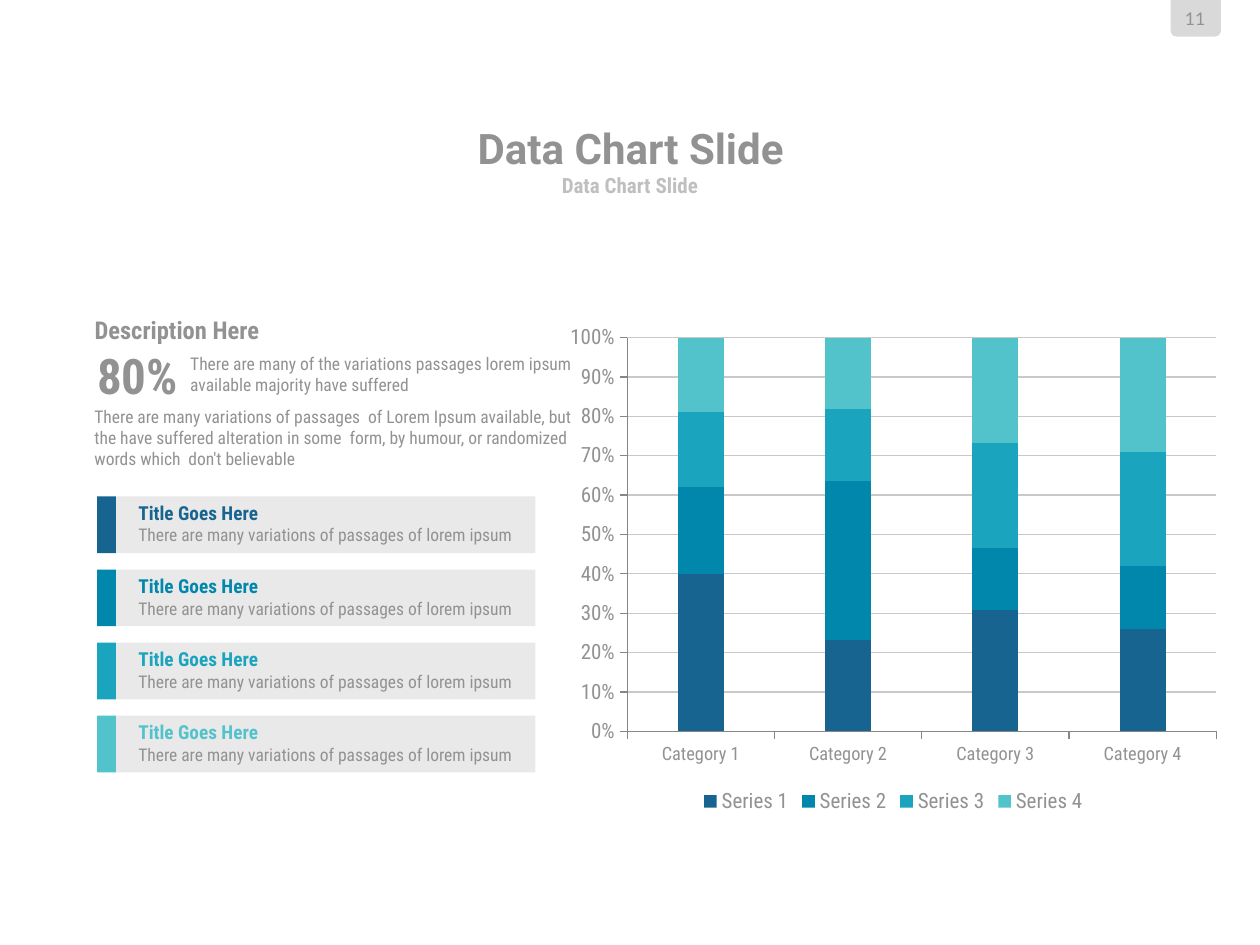
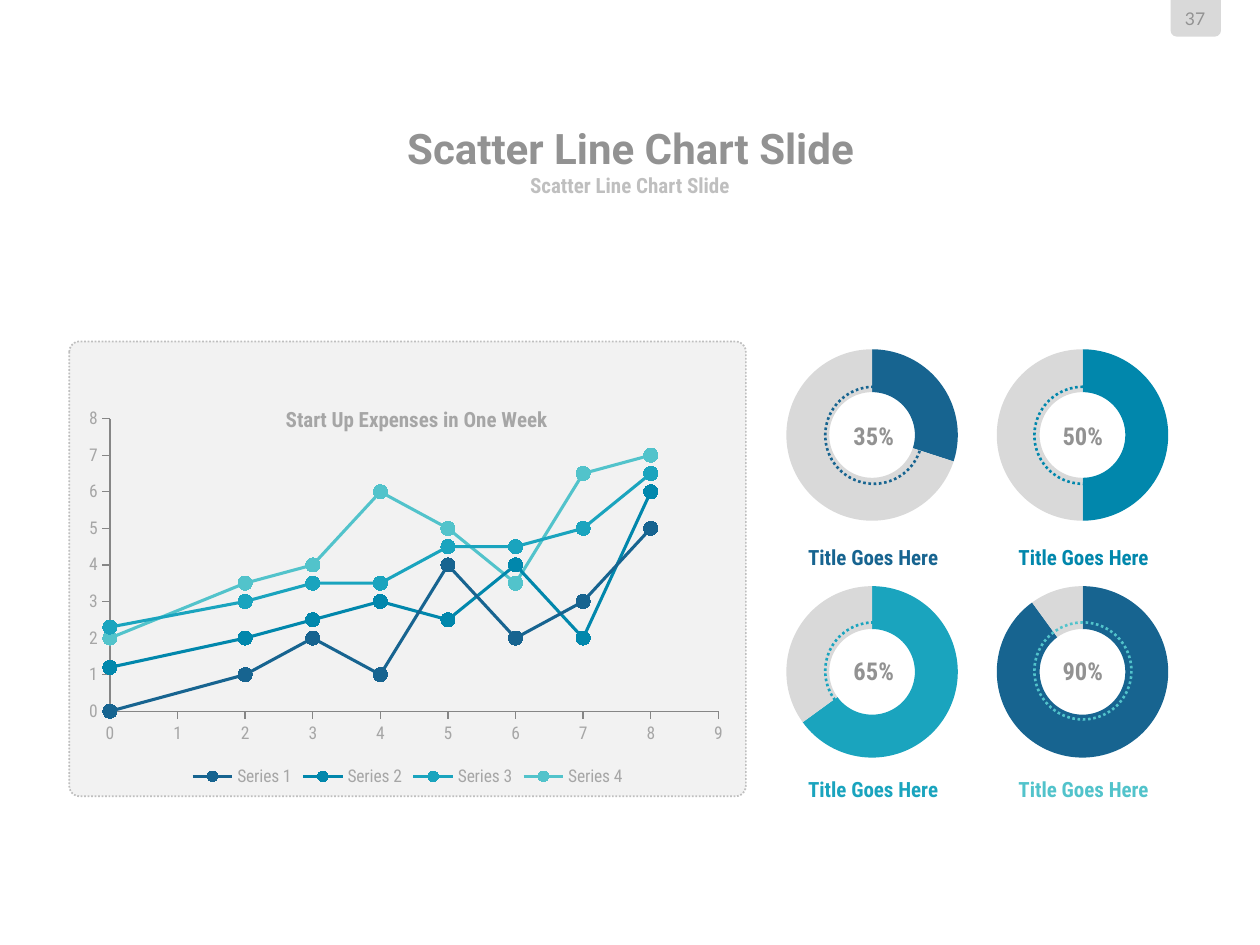
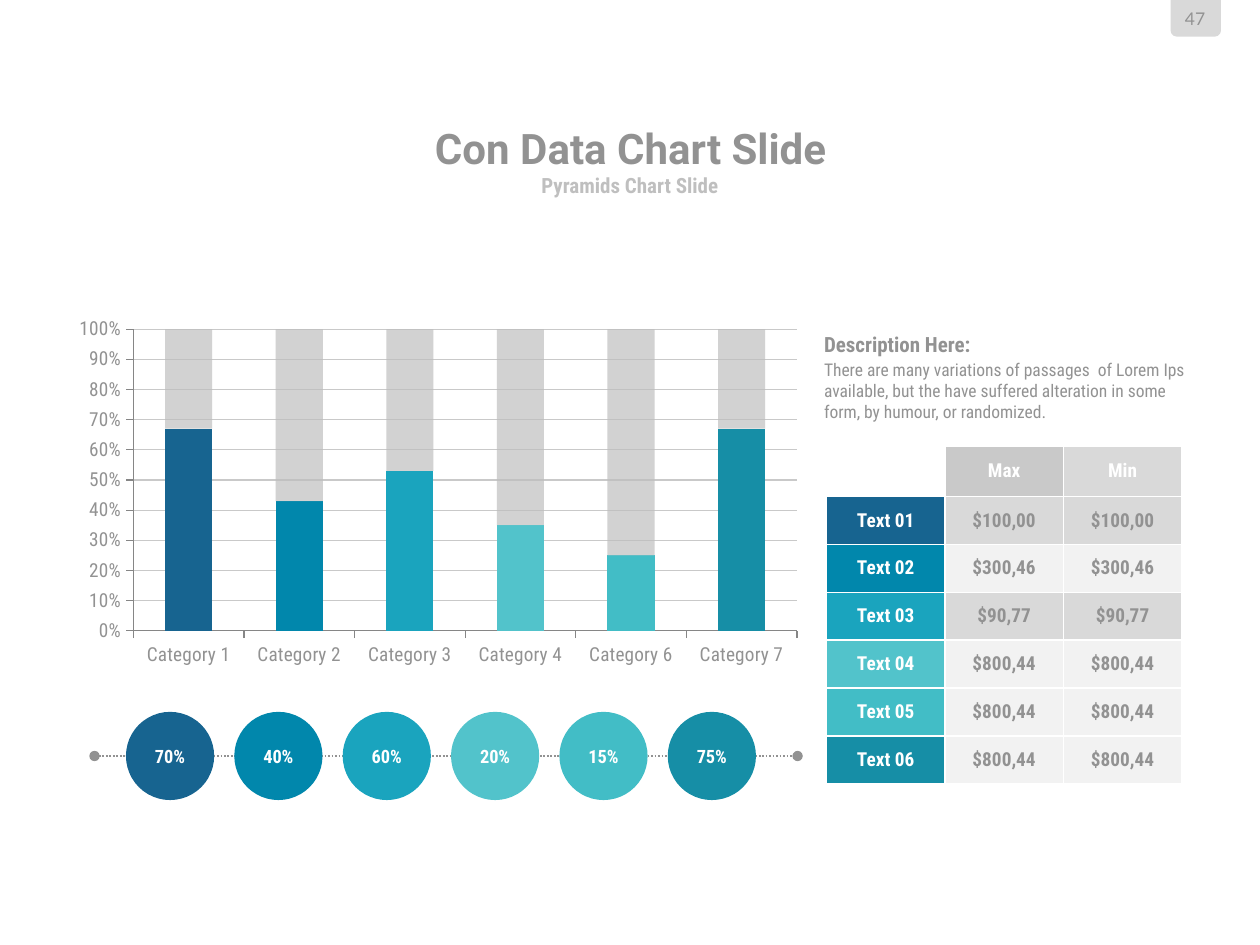
from lxml import etree
from pptx import Presentation
from pptx.chart.data import CategoryChartData, XyChartData
from pptx.dml.color import RGBColor
from pptx.enum.chart import XL_CHART_TYPE, XL_LEGEND_POSITION, XL_MARKER_STYLE, XL_TICK_MARK
from pptx.enum.dml import MSO_LINE
from pptx.enum.shapes import MSO_CONNECTOR, MSO_SHAPE
from pptx.enum.text import MSO_ANCHOR, PP_ALIGN
from pptx.oxml.ns import qn
from pptx.util import Inches, Pt

STACKED = XL_CHART_TYPE.COLUMN_STACKED_100
SCATTER = XL_CHART_TYPE.XY_SCATTER_SMOOTH
DOUGHNUT = XL_CHART_TYPE.DOUGHNUT
LEGEND_BOTTOM = XL_LEGEND_POSITION.BOTTOM
TICK_OUT = XL_TICK_MARK.OUTSIDE
ROUND_MARKER = XL_MARKER_STYLE.CIRCLE
DOTTED = MSO_LINE.ROUND_DOT
STRAIGHT = MSO_CONNECTOR.STRAIGHT
RECTANGLE = MSO_SHAPE.RECTANGLE
ROUNDED = MSO_SHAPE.ROUNDED_RECTANGLE
TAB = MSO_SHAPE.ROUND_2_SAME_RECTANGLE
CIRCLE = MSO_SHAPE.OVAL
TOP, MIDDLE = MSO_ANCHOR.TOP, MSO_ANCHOR.MIDDLE
LEFT, CENTER = PP_ALIGN.LEFT, PP_ALIGN.CENTER


class Theme:
    body_font, title_font, number_font = "Roboto Condensed", "Roboto", "Lato"
    accents = [RGBColor.from_string(code) for code in
               ("176490", "0187AC", "1AA4BE", "52C3CB", "42BDC6", "168EA6")]
    text = RGBColor(0x92, 0x92, 0x92)
    subtitle = RGBColor(0xBF, 0xBF, 0xBF)
    chart_text = RGBColor(0xA6, 0xA6, 0xA6)
    axis = RGBColor(0x86, 0x86, 0x86)
    grid = RGBColor(0xC9, 0xC9, 0xC9)
    gray = RGBColor(0xD9, 0xD9, 0xD9)
    card = RGBColor(0xE9, 0xE9, 0xE9)
    panel = RGBColor(0xF2, 0xF2, 0xF2)
    white = RGBColor(0xFF, 0xFF, 0xFF)
    title_size, figure_size, heading_size, subtitle_size = 24, 28, 14, 12
    label_size, badge_size, body_size = 11, 10.5, 10


def write(frame, text, size=Theme.body_size, color=Theme.text, bold=False,
          align=LEFT, font=Theme.body_font):
    """Fill the first paragraph of a frame, or add one below."""
    paragraph = frame.add_paragraph() if frame.text else frame.paragraphs[0]
    paragraph.alignment = align
    run = paragraph.add_run()
    run.text = text
    run.font.size, run.font.bold, run.font.name = Pt(size), bold, font
    run.font.color.rgb = color


def add_block(slide, at, kind=None, fill=None, line=None, width=1,
              anchor=TOP, inset=(0, 0), wrap=True):
    """Add a preset shape, or a text box when no kind is given."""
    box = [Inches(value) for value in at]
    if kind is None:
        block = slide.shapes.add_textbox(*box)
    else:
        block = slide.shapes.add_shape(kind, *box)
        block.shadow.inherit = False
        if fill is None:
            block.fill.background()
        else:
            block.fill.solid()
            block.fill.fore_color.rgb = fill
        if line is None:
            block.line.fill.background()
        else:
            block.line.color.rgb = line
            block.line.width = Pt(width)
            block.line.dash_style = DOTTED
    frame = block.text_frame
    frame.word_wrap, frame.vertical_anchor = wrap, anchor
    frame.margin_left = frame.margin_right = Inches(inset[0])
    frame.margin_top = frame.margin_bottom = Inches(inset[1])
    return block


deck = Presentation()
deck.slide_width, deck.slide_height = Inches(10), Inches(7.5)

# Page tab, title and subtitle of every slide
slides = []
for number, title, subtitle in (
        ("11", "Data Chart Slide", "Data Chart Slide"),
        ("37", "Scatter Line Chart Slide", "Scatter Line Chart Slide"),
        ("47", "Con Data Chart Slide", "Pyramids Chart Slide")):
    slide = deck.slides.add_slide(deck.slide_layouts[6])
    slides.append(slide)
    add_block(slide, (9.29, 0, 0.4, 0.29), TAB, Theme.gray).rotation = 180
    for at, text, size, color, bold, font in (
            ((9.32, 0.06, 0.33, 0.17), number, Theme.body_size, Theme.text, False, Theme.number_font),
            ((1.92, 0.98, 6.17, 0.39), title, Theme.title_size, Theme.text, True, Theme.title_font),
            ((2.75, 1.36, 4.5, 0.22), subtitle, Theme.subtitle_size, Theme.subtitle, True, Theme.body_font)):
        header = add_block(slide, at, anchor=MIDDLE, wrap=False)
        write(header.text_frame, text, size, color, bold, CENTER, font)
data_slide, scatter_slide, table_slide = slides

# Descriptions on the first and last slides
for slide, at, text, size, bold in (
        (data_slide, (0.75, 2.5, 1.69, 0.24), "Description Here", Theme.heading_size, True),
        (data_slide, (0.77, 2.74, 0.65, 0.47), "80%", Theme.figure_size, True),
        (data_slide, (1.51, 2.8, 3.29, 0.34),
         "There are many of the variations passages lorem ipsum available majority have suffered",
         Theme.body_size, False),
        (data_slide, (0.75, 3.22, 3.83, 0.5),
         "There are many variations of passages  of Lorem Ipsum available, but the have suffered "
         "alteration in some  form, by humour, or randomized words which  don't believable",
         Theme.body_size, False),
        (table_slide, (6.54, 2.63, 1.58, 0.2), "Description Here:", Theme.subtitle_size, True),
        (table_slide, (6.54, 2.85, 3.05, 0.5),
         "There are many variations of passages  of Lorem Ips available, but the have suffered "
         "alteration in some  form, by humour, or randomized.", Theme.body_size, False)):
    write(add_block(slide, at).text_frame, text, size, bold=bold)

# Title cards under the first description
for row, accent in enumerate(Theme.accents[:4]):
    top = 3.94 + 0.58 * row
    add_block(data_slide, (0.92, top, 3.33, 0.45), RECTANGLE, Theme.card)
    add_block(data_slide, (0.77, top, 0.15, 0.45), RECTANGLE, accent)
    card = add_block(data_slide, (1, top - 0.01, 3.27, 0.47), inset=(0.1, 0.05)).text_frame
    write(card, "Title Goes Here", Theme.label_size, accent, True)
    write(card, "There are many variations of passages of lorem ipsum")

# Stacked column charts on the first and last slides
layouts = []
stacked_charts = []
for slide, at, categories, values, gap, category_size, value_size in (
        (data_slide, (4.42, 2.5, 5.34, 4), (1, 2, 3, 4),
         ((40, 23, 31, 26), (22, 40, 16, 16), (19, 18, 27, 29), (19, 18, 27, 29)),
         222, Theme.badge_size, Theme.subtitle_size),
        (table_slide, (0.5, 2.33, 5.83, 3.15), (1, 2, 3, 4, 6, 7),
         ((67, 43, 53, 35, 25, 67), (33, 57, 47, 65, 75, 33)),
         135, Theme.label_size, Theme.label_size)):
    data = CategoryChartData()
    data.categories = [f"Category {index}" for index in categories]
    for index, amounts in enumerate(values, 1):
        data.add_series(f"Series {index}", amounts)
    chart = slide.shapes.add_chart(STACKED, *[Inches(value) for value in at], data).chart
    stacked_charts.append(chart)
    chart.has_title = chart.has_legend = False
    chart.font.name, chart.font.color.rgb = Theme.body_font, Theme.text
    plot = chart.plots[0]
    plot.gap_width, plot.overlap, plot.vary_by_categories = gap, 100, False
    for series, accent in zip(plot.series, Theme.accents):
        series.format.fill.solid()
        series.format.fill.fore_color.rgb = accent
    for axis, size in ((chart.category_axis, category_size), (chart.value_axis, value_size)):
        axis.major_tick_mark = TICK_OUT
        axis.format.line.color.rgb = Theme.axis
        axis.tick_labels.font.size = Pt(size)
    gridline = chart.value_axis.major_gridlines.format.line
    gridline.color.rgb, gridline.width = Theme.grid, Pt(0.75)
    labels = chart.value_axis.tick_labels
    labels.number_format, labels.number_format_is_linked = "0%", False
series_chart, share_chart = stacked_charts

series_chart.has_legend = True
series_chart.legend.position = LEGEND_BOTTOM
series_chart.legend.include_in_layout = False
series_chart.legend.font.size = Pt(Theme.subtitle_size)

shares, remainders = share_chart.plots[0].series
for index, accent in enumerate(Theme.accents):
    column = shares.points[index].format.fill
    column.solid()
    column.fore_color.rgb = accent
remainders.format.fill.fore_color.rgb = Theme.subtitle
remainder_color = next(remainders._element.iter(qn("a:srgbClr")))
etree.SubElement(remainder_color, qn("a:alpha"), val="70000")
layouts.append((share_chart._chartSpace.find(".//" + qn("c:plotArea")),
                {"x": 0.096, "y": 0.09, "w": 0.904, "h": 0.76}))

# Expenses chart on its dotted panel
panel = add_block(scatter_slide, (0.55, 2.71, 5.37, 3.61), ROUNDED, Theme.panel, Theme.subtitle)
panel.adjustments[0] = 0.023
days = (0, 2, 3, 4, 5, 6, 7, 8)
expenses = XyChartData()
for index, amounts in enumerate((
        (0, 1, 2, 1, 4, 2, 3, 5),
        (1.2, 2, 2.5, 3, 2.5, 4, 2, 6),
        (2.3, 3, 3.5, 3.5, 4.5, 4.5, 5, 6.5),
        (2, 3.5, 4, 6, 5, 3.5, 6.5, 7)), 1):
    series = expenses.add_series(f"Series {index}")
    for day, amount in zip(days, amounts):
        series.add_data_point(day, amount)
chart = scatter_slide.shapes.add_chart(
    SCATTER, Inches(0.61), Inches(2.76), Inches(5.25), Inches(3.52), expenses).chart
chart.font.name, chart.font.size = Theme.body_font, Pt(Theme.body_size)
chart.font.color.rgb = Theme.chart_text
chart.has_title = chart.has_legend = True
write(chart.chart_title.text_frame, "Start Up Expenses in One Week",
      Theme.subtitle_size, Theme.chart_text, True, CENTER)
chart.legend.position = LEGEND_BOTTOM
chart.legend.include_in_layout = False
chart.plots[0].vary_by_categories = False
for axis, maximum in ((chart.category_axis, 9), (chart.value_axis, 8)):
    axis.minimum_scale, axis.maximum_scale, axis.major_unit = 0, maximum, 1
    axis.has_major_gridlines = False
    axis.major_tick_mark = TICK_OUT
    axis.format.line.color.rgb = Theme.axis
    axis.tick_labels.number_format = "General"
    axis.tick_labels.number_format_is_linked = False
for series, accent in zip(chart.plots[0].series, Theme.accents):
    series.format.line.color.rgb, series.format.line.width = accent, Pt(1.75)
    series.marker.style, series.marker.size = ROUND_MARKER, 8
    series.marker.format.fill.solid()
    series.marker.format.fill.fore_color.rgb = accent
    series.marker.format.line.color.rgb = accent
layouts.append((chart._chartSpace.find(".//" + qn("c:plotArea")),
                {"x": 0.05, "y": 0.16, "w": 0.92, "h": 0.66}))
layouts.append((chart.chart_title._element, {"x": 0.31, "y": 0.12}))

# Doughnuts with dotted rings, two by two
for index, (share, percent, slice_color) in enumerate((
        (30, "35%", Theme.accents[0]), (50, "50%", Theme.accents[1]),
        (65, "65%", Theme.accents[2]), (90, "90%", Theme.accents[0]))):
    row, column = divmod(index, 2)
    left, accent = 6.11 + 1.67 * column, Theme.accents[index]
    data = CategoryChartData()
    data.categories = ["1", "2"]
    data.add_series("Series 1", (share, 100 - share))
    chart = scatter_slide.shapes.add_chart(
        DOUGHNUT, Inches(left), Inches(2.58 + 1.88 * row), Inches(1.64), Inches(1.73), data).chart
    chart.has_title = chart.has_legend = False
    chart.font.name = Theme.body_font
    for point, color in enumerate((slice_color, Theme.gray)):
        sector = chart.plots[0].series[0].points[point].format.fill
        sector.solid()
        sector.fore_color.rgb = color
    next(chart._chartSpace.iter(qn("c:holeSize"))).set("val", "70")
    layouts.append((chart._chartSpace.find(".//" + qn("c:plotArea")),
                    {"x": 0.08, "y": 0.11, "w": 0.83, "h": 0.79}))
    ring = add_block(scatter_slide, (6.55 + 1.66 * column, 3.07 + 1.87 * row, 0.77, 0.77),
                     CIRCLE, line=accent, width=1.5, anchor=MIDDLE, wrap=False)
    write(ring.text_frame, percent, Theme.heading_size, bold=True, align=CENTER)
    caption = add_block(scatter_slide, (left + 0.21, 4.32 + 1.84 * row, 1.22, 0.2))
    write(caption.text_frame, "Title Goes Here", Theme.subtitle_size, accent, True, CENTER)

# Fixed places of plot areas and chart title
for parent, frame in layouts:
    layout = parent.find(qn("c:layout"))
    if layout is None:
        layout = etree.Element(qn("c:layout"))
        parent.insert(0, layout)
    manual = etree.SubElement(layout, qn("c:manualLayout"))
    if "w" in frame:
        etree.SubElement(manual, qn("c:layoutTarget"), val="inner")
    for mode in ("xMode", "yMode"):
        etree.SubElement(manual, qn(f"c:{mode}"), val="edge")
    for key, value in frame.items():
        etree.SubElement(manual, qn(f"c:{key}"), val=str(value))

# Dotted line with percentage badges
timeline = table_slide.shapes.add_connector(
    STRAIGHT, Inches(0.75), Inches(6), Inches(6.33), Inches(6))
timeline.line.color.rgb, timeline.line.width = Theme.text, Pt(1)
timeline.line.dash_style = DOTTED
for end in ("a:headEnd", "a:tailEnd"):
    etree.SubElement(timeline.line._get_or_add_ln(), qn(end), type="oval")
etree.SubElement(timeline._element.spPr, qn("a:effectLst"))
for index, percent in enumerate(("70%", "40%", "60%", "20%", "15%", "75%")):
    badge = add_block(table_slide, (1 + 0.86 * index, 5.65, 0.7, 0.7), CIRCLE,
                      Theme.accents[index], anchor=MIDDLE, wrap=False)
    write(badge.text_frame, percent, Theme.badge_size, Theme.white, True, CENTER)

# Price table
prices = ("$100,00", "$300,46", "$90,77", "$800,44", "$800,44", "$800,44")
stripes = (Theme.gray, Theme.panel, Theme.gray, Theme.panel, Theme.panel, Theme.panel)
rows = [(("", None, Theme.white), ("Max", Theme.grid, Theme.white), ("Min", Theme.gray, Theme.white))]
for index, (price, stripe, accent) in enumerate(zip(prices, stripes, Theme.accents), 1):
    rows.append(((f"Text {index:02}", accent, Theme.white),
                 (price, stripe, Theme.text), (price, stripe, Theme.text)))
table = table_slide.shapes.add_table(
    7, 3, Inches(6.56), Inches(3.54), Inches(2.82), Inches(2.66)).table
table.first_row = table.horz_banding = False
for column in table.columns:
    column.width = Inches(0.94)
for row_index, row in enumerate(rows):
    table.rows[row_index].height = Inches(0.38)
    for column_index, (text, fill, color) in enumerate(row):
        cell = table.cell(row_index, column_index)
        cell.vertical_anchor = MIDDLE
        for side in ("a:lnL", "a:lnR", "a:lnT", "a:lnB"):
            border = etree.SubElement(cell._tc.get_or_add_tcPr(), qn(side), w=str(Pt(1)))
            paint = etree.SubElement(border, qn("a:solidFill"))
            etree.SubElement(paint, qn("a:srgbClr"), val=str(Theme.white))
        if fill is None:
            cell.fill.background()
        else:
            cell.fill.solid()
            cell.fill.fore_color.rgb = fill
            write(cell.text_frame, text, Theme.label_size, color, True, CENTER)

deck.save("out.pptx")
